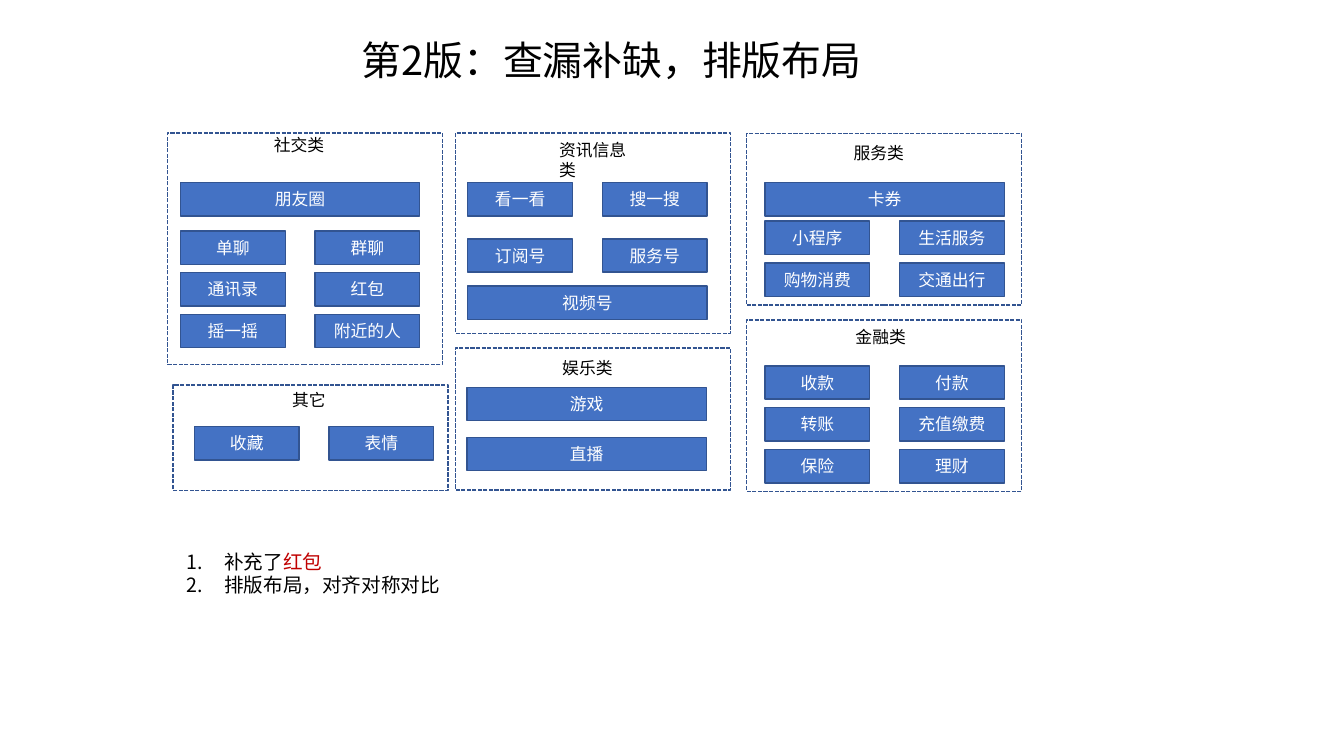
from pptx import Presentation
from pptx.dml.color import RGBColor
from pptx.enum.dml import MSO_LINE
from pptx.enum.shapes import MSO_SHAPE
from pptx.enum.text import MSO_ANCHOR, MSO_AUTO_SIZE, PP_ALIGN
from pptx.oxml.ns import qn
from pptx.util import Cm, Pt
from lxml import etree

BLUE = RGBColor(0x44, 0x72, 0xC4)
NAVY = RGBColor(0x32, 0x54, 0x91)
WHITE = RGBColor(0xFF, 0xFF, 0xFF)
BLACK = RGBColor(0, 0, 0)
RED = RGBColor(0xC0, 0, 0)
FONT = "Noto Sans CJK SC"

# All layout lengths are in centimetres.
PANEL_W = 6.93
BUTTON_W, BUTTON_H, COLUMN_STEP = 2.64, 0.84, 3.39

# title, panel (left, top, height), title (left, top), button left, {row top: buttons}
PANELS = [
    ("社交类", (4.22, 3.35, 5.84), (6.65, 3.28), 4.55,
     {4.6: ["朋友圈"], 5.82: ["单聊", "群聊"],
      6.87: ["通讯录", "红包"], 7.92: ["摇一摇", "附近的人"]}),
    ("资讯信息类", (11.48, 3.35, 5.05), (13.84, 3.4), 11.79,
     {4.6: ["看一看", "搜一搜"], 6.02: ["订阅号", "服务号"], 7.21: ["视频号"]}),
    ("服务类", (18.82, 3.37, 4.32), (21.26, 3.48), 19.28,
     {4.6: ["卡券"], 5.57: ["小程序", "生活服务"], 6.63: ["购物消费", "交通出行"]}),
    ("金融类", (18.82, 8.06, 4.32), (21.31, 8.1), 19.28,
     {9.22: ["收款", "付款"], 10.27: ["转账", "充值缴费"], 11.33: ["保险", "理财"]}),
    ("娱乐类", (11.48, 8.77, 3.58), (13.92, 8.9), 11.77,
     {9.76: ["游戏"], 11.02: ["直播"]}),
    ("其它", (4.36, 9.7, 2.66), (7.11, 9.7), 4.9,
     {10.75: ["收藏", "表情"]}),
]
NOTES = [
    [("补充了", BLACK), ("红包", RED)],
    [("排版布局，对齐对称对比", BLACK)],
]


def add_run(paragraph, text, size, color):
    """Append a run in the slide font, for Latin and East Asian text."""
    run = paragraph.add_run()
    run.text = text
    run.font.size = Pt(size)
    run.font.color.rgb = color
    run.font.name = FONT
    etree.SubElement(run.font._element, qn("a:ea"), typeface=FONT)


def add_box(slide, left, top, width, height, fill):
    """Add a navy-edged rectangle with the given fill."""
    box = slide.shapes.add_shape(
        MSO_SHAPE.RECTANGLE, Cm(left), Cm(top), Cm(width), Cm(height))
    box.shadow.inherit = False
    box.fill.solid()
    box.fill.fore_color.rgb = fill
    box.line.color.rgb = NAVY
    box.line.width = Pt(1)
    return box


def add_button(slide, text, left, top, width):
    """Add a blue button with centred white text."""
    frame = add_box(slide, left, top, width, BUTTON_H, BLUE).text_frame
    frame.vertical_anchor = MSO_ANCHOR.MIDDLE
    frame.paragraphs[0].alignment = PP_ALIGN.CENTER
    add_run(frame.paragraphs[0], text, 12, WHITE)


def add_text_frame(slide, left, top, width, height):
    """Add an unwrapped text box that fits its text; return its frame."""
    frame = slide.shapes.add_textbox(
        Cm(left), Cm(top), Cm(width), Cm(height)).text_frame
    frame.word_wrap = False
    frame.auto_size = MSO_AUTO_SIZE.SHAPE_TO_FIT_TEXT
    return frame


def add_panel(slide, title, panel, title_at, button_left, rows):
    """Add a dashed category panel with its title and rows of buttons."""
    left, top, height = panel
    box = add_box(slide, left, top, PANEL_W, height, WHITE)
    box.line.dash_style = MSO_LINE.SQUARE_DOT
    frame = add_text_frame(slide, *title_at, 0.51 + 0.42 * len(title), 0.77)
    add_run(frame.paragraphs[0], title, 12, BLACK)
    for row_top, names in rows.items():
        width = BUTTON_W if len(names) > 1 else COLUMN_STEP + BUTTON_W
        for column, name in enumerate(names):
            add_button(slide, name, button_left + column * COLUMN_STEP,
                       row_top, width)


def add_title(slide, text):
    """Add the centred slide title."""
    frame = slide.shapes.add_textbox(
        Cm(4.22), Cm(1.02), Cm(22.38), Cm(1.17)).text_frame
    frame.word_wrap = True
    frame.vertical_anchor = MSO_ANCHOR.BOTTOM
    paragraph = frame.paragraphs[0]
    paragraph.alignment = PP_ALIGN.CENTER
    paragraph.line_spacing = 0.7
    add_run(paragraph, text, 28.5, BLACK)


def add_notes_list(slide, notes):
    """Add the numbered list of changes."""
    frame = add_text_frame(slide, 4.45, 13.72, 6.96, 1.45)
    for index, runs in enumerate(notes):
        paragraph = frame.add_paragraph() if index else frame.paragraphs[0]
        properties = paragraph._p.get_or_add_pPr()
        properties.set("marL", str(Cm(0.95)))
        properties.set("indent", str(-Cm(0.95)))
        etree.SubElement(properties, qn("a:buAutoNum"), type="arabicPeriod")
        for text, color in runs:
            add_run(paragraph, text, 14, color)


def main():
    """Build and save the slide."""
    presentation = Presentation()
    presentation.slide_width = Cm(33.87)
    presentation.slide_height = Cm(19.05)
    slide = presentation.slides.add_slide(presentation.slide_layouts[6])
    add_title(slide, "第2版：查漏补缺，排版布局")
    for panel in PANELS:
        add_panel(slide, *panel)
    add_notes_list(slide, NOTES)
    presentation.save("out.pptx")


main()
